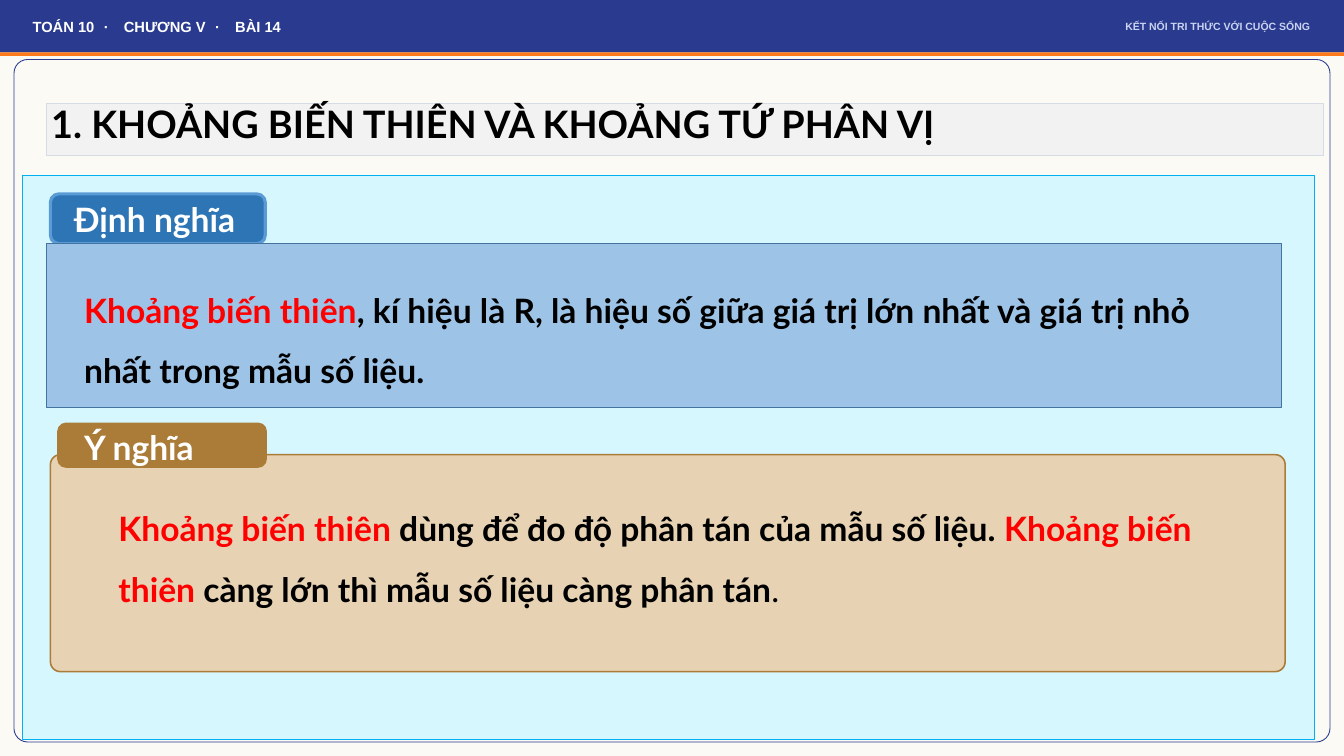
from pptx import Presentation
from pptx import util as u
from pptx.dml.color import RGBColor
from pptx.enum import shapes, text

NAVY = RGBColor(0x2A, 0x3B, 0x8F)
ORANGE = RGBColor(0xFF, 0x7A, 0x1A)
CREAM = RGBColor(0xFB, 0xFA, 0xF4)
LIGHT_GREY = RGBColor(0xF2, 0xF2, 0xF2)
GREY_LINE = RGBColor(0xD6, 0xDC, 0xE5)
PALE_CYAN = RGBColor(0xD6, 0xF7, 0xFE)
CYAN = RGBColor(0x00, 0xB0, 0xF0)
BLUE = RGBColor(0x2E, 0x75, 0xB6)
BLUE_LINE = RGBColor(0x5B, 0x9B, 0xD5)
SKY = RGBColor(0x9D, 0xC3, 0xE6)
SKY_LINE = RGBColor(0x43, 0x73, 0x9E)
SAND = RGBColor(0xE7, 0xD2, 0xB3)
BROWN = RGBColor(0xAB, 0x7C, 0x37)
PALE_BLUE = RGBColor(0xCA, 0xD3, 0xF0)
RED = RGBColor(0xFF, 0x00, 0x00)
BLACK = RGBColor(0x00, 0x00, 0x00)
WHITE = RGBColor(0xFF, 0xFF, 0xFF)

WIDTH, HEIGHT = 1920, 1080
HEADER_HEIGHT = 75
CARD_WIDTH = 1764


class LessonSlide:
    """Holds the lesson style and the slide being built."""

    body_font, header_font = "Lato", "Arial"
    body_size, title_size = 48, 54

    def __init__(self, presentation):
        self.slide = presentation.slides.add_slide(presentation.slide_layouts[5])
        self.slide.background.fill.solid()
        self.slide.background.fill.fore_color.rgb = CREAM

    def paint(self, shape, fill, line, line_width):
        if fill is None:
            shape.fill.background()
        else:
            shape.fill.solid()
            shape.fill.fore_color.rgb = fill
        if line is None:
            shape.line.fill.background()
        else:
            shape.line.color.rgb = line
            shape.line.width = u.Pt(line_width)

    def box(self, bounds, fill=None, line=None, line_width=0.75, radius=None):
        kind = shapes.MSO_SHAPE.RECTANGLE
        if radius is not None:
            kind = shapes.MSO_SHAPE.ROUNDED_RECTANGLE
        shape = self.slide.shapes.add_shape(kind, *map(u.Pt, bounds))
        if radius is not None:
            shape.adjustments[0] = radius
        shape.shadow.inherit = False
        self.paint(shape, fill, line, line_width)

    def add_runs(self, frame, runs, size, font_name, spacing=None,
                 align=text.PP_ALIGN.LEFT):
        """Each run is (wording, colour) with an optional bold flag."""
        frame.word_wrap = True
        frame.auto_size = text.MSO_AUTO_SIZE.NONE
        paragraph = frame.paragraphs[0]
        paragraph.alignment = align
        if spacing:
            paragraph.line_spacing = spacing
        for wording, colour, *bold in runs:
            run = paragraph.add_run()
            run.text = wording
            run.font.name = font_name
            run.font.size = u.Pt(size)
            run.font.bold = bold[0] if bold else True
            run.font.color.rgb = colour
        return paragraph

    def title(self, wording, bounds):
        shape = self.slide.shapes.title
        shape.left, shape.top, shape.width, shape.height = map(u.Pt, bounds)
        self.paint(shape, LIGHT_GREY, GREY_LINE, 0.75)
        shape.text_frame.vertical_anchor = text.MSO_ANCHOR.TOP
        self.add_runs(shape.text_frame, [(wording, BLACK)], self.title_size,
                      self.body_font, 0.9)

    def body(self, runs, bounds, spacing=None):
        shape = self.slide.shapes.add_textbox(*map(u.Pt, bounds))
        self.add_runs(shape.text_frame, runs, self.body_size, self.body_font,
                      spacing)

    def header(self, runs, left, width, size, align=text.PP_ALIGN.LEFT):
        shape = self.slide.shapes.add_textbox(
            u.Pt(left), 0, u.Pt(width), u.Pt(HEADER_HEIGHT))
        frame = shape.text_frame
        frame.margin_top = frame.margin_bottom = 0
        frame.vertical_anchor = text.MSO_ANCHOR.MIDDLE
        return self.add_runs(frame, runs, size, self.header_font, align=align)


def main():
    presentation = Presentation()
    presentation.slide_width = u.Pt(WIDTH)
    presentation.slide_height = u.Pt(HEIGHT)
    lesson = LessonSlide(presentation)

    # Section title and content panel
    lesson.title("1. KHOẢNG BIẾN THIÊN VÀ KHOẢNG TỨ PHÂN VỊ", (66, 148, 1824, 74))
    lesson.box((32, 251, 1846, 805), PALE_CYAN, CYAN)

    # Definition tab
    lesson.box((72, 277, 307, 71), BLUE, BLUE_LINE, 4.5, radius=0.17)
    lesson.body([("Định nghĩa", WHITE)], (98.5, 281, 305, 65))

    # Meaning card
    lesson.box((72, 649.5, CARD_WIDTH, 310), SAND, BROWN, 2.25, radius=0.046)
    lesson.box((84, 606, 295, 60), BROWN, BROWN, 4.5, radius=0.17)
    lesson.body([("Ý nghĩa", WHITE)], (113, 606, 295, 65))
    lesson.body([
        ("Khoảng biến thiên ", RED),
        ("dùng để đo độ phân tán của mẫu số liệu. ", BLACK),
        ("Khoảng biến thiên ", RED),
        ("càng lớn thì mẫu số liệu càng phân tán", BLACK),
        (".", BLACK, False),
    ], (162, 693.5, 1584, 234), 1.5)

    # Definition card
    lesson.box((66, 348, CARD_WIDTH, 234), SKY, SKY_LINE, 1)
    lesson.body([
        ("Khoảng biến thiên", RED),
        (", kí hiệu là R, là hiệu số giữa giá trị lớn nhất và giá trị nhỏ "
         "nhất trong mẫu số liệu.", BLACK),
    ], (113, 381.5, 1633, 170), 1.5)

    # Page frame and header band
    lesson.box((20, 85, 1880, 975), line=NAVY, line_width=1.25, radius=0.02)
    lesson.box((0, 0, WIDTH, HEADER_HEIGHT), NAVY)
    lesson.box((0, HEADER_HEIGHT, WIDTH, 5), ORANGE)

    # Header wording, with wide-tracked separators
    separator = " · "
    breadcrumb = lesson.header(
        [(part, WHITE) for part in
         ("TOÁN 10", separator, "CHƯƠNG V", separator, "BÀI 14")],
        39.5, 936, 21)
    for run in breadcrumb.runs:
        if run.text == separator:
            run._r.get_or_add_rPr().set("spc", "780")
    lesson.header([("KẾT NỐI TRI THỨC VỚI CUỘC SỐNG", PALE_BLUE)],
                  936, 943, 15, text.PP_ALIGN.RIGHT)

    presentation.save("out.pptx")


if __name__ == "__main__":
    main()
